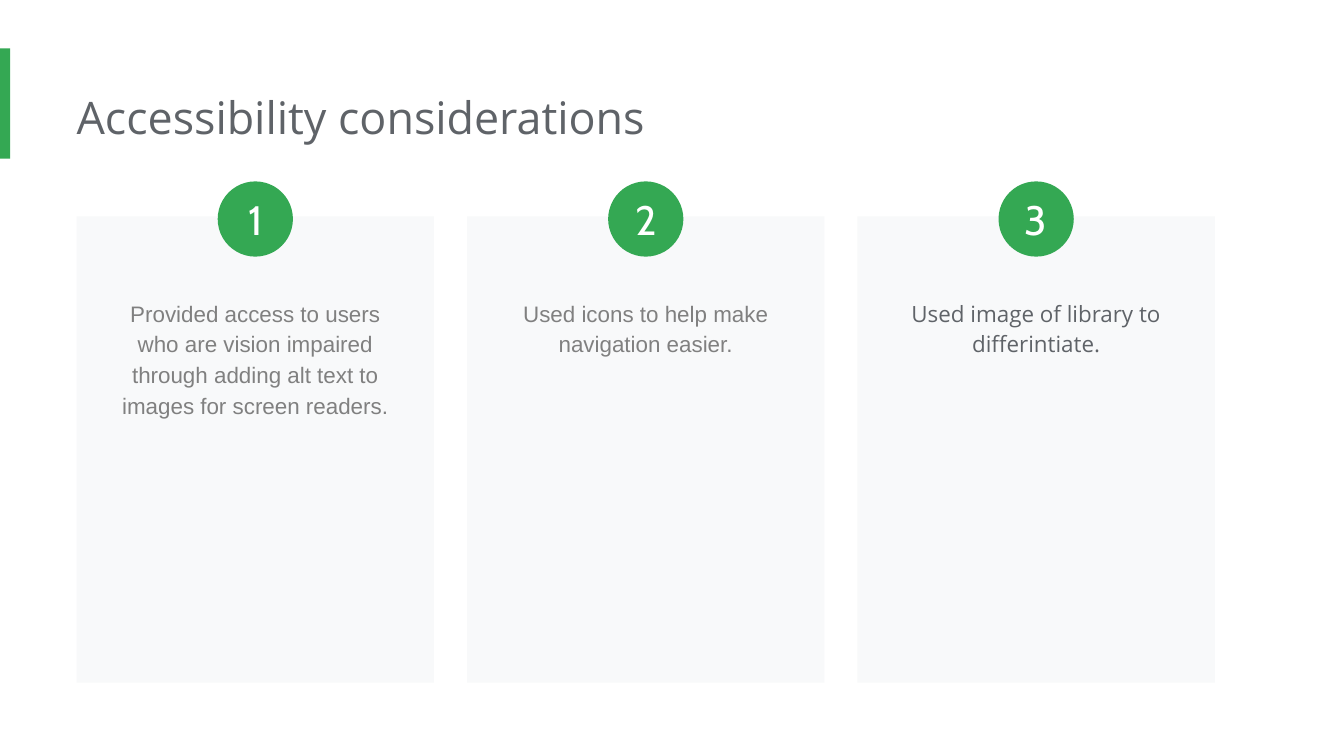
from dataclasses import dataclass

from pptx import Presentation
from pptx.dml.color import RGBColor
from pptx.enum.shapes import MSO_SHAPE
from pptx.enum.text import MSO_ANCHOR, MSO_AUTO_SIZE, PP_ALIGN
from pptx.util import Emu, Pt

RECTANGLE, OVAL = MSO_SHAPE.RECTANGLE, MSO_SHAPE.OVAL
TOP, MIDDLE = MSO_ANCHOR.TOP, MSO_ANCHOR.MIDDLE
LEFT, CENTER = PP_ALIGN.LEFT, PP_ALIGN.CENTER
FIXED, GROW = MSO_AUTO_SIZE.NONE, MSO_AUTO_SIZE.SHAPE_TO_FIT_TEXT

PX_PER_INCH = 200
EMU_PER_PX = 914400 // PX_PER_INCH
TITLE_ONLY_LAYOUT = 5
INSET = 20


@dataclass(frozen=True)
class Theme:
    accent: str = "34A853"
    card: str = "F8F9FA"
    white: str = "FFFFFF"
    dark_text: str = "5F6368"
    gray_text: str = "808080"
    heading_font: str = "Open Sans"
    body_font: str = "Arial"
    badge_font: str = "Cabin"
    title_size: int = 24
    body_size: int = 12
    badge_size: int = 22


THEME = Theme()

# Text, font, colour and text box height of each card
CARDS = [
    ("Provided access to users who are vision impaired through adding "
     "alt text to images for screen readers.",
     THEME.body_font, THEME.gray_text, 226),
    ("Used icons to help make navigation easier.",
     THEME.body_font, THEME.gray_text, 134),
    ("Used image of library to differintiate.",
     THEME.heading_font, THEME.dark_text, 134),
]


def px(length):
    return Emu(length * EMU_PER_PX)


def write_text(shape, text, *, font, size, color, align=LEFT, anchor=TOP,
               insets=(0, 0, 0, 0), line_spacing=None, auto_size=FIXED):
    """Fill a shape with one paragraph; insets are left, top, right, bottom."""
    frame = shape.text_frame
    frame.word_wrap = True
    frame.auto_size = auto_size
    frame.vertical_anchor = anchor
    (frame.margin_left, frame.margin_top,
     frame.margin_right, frame.margin_bottom) = map(px, insets)
    paragraph = frame.paragraphs[0]
    paragraph.alignment = align
    paragraph.line_spacing = line_spacing
    run = paragraph.add_run()
    run.text = text
    run.font.name = font
    run.font.size = Pt(size)
    run.font.color.rgb = RGBColor.from_string(color)


def add_filled_shape(slide, kind, left, top, width, height, color):
    shape = slide.shapes.add_shape(kind, px(left), px(top), px(width), px(height))
    shape.shadow.inherit = False
    shape.fill.solid()
    shape.fill.fore_color.rgb = RGBColor.from_string(color)
    shape.line.fill.background()
    return shape


def place_title(slide, text, left, top, width, height):
    title = slide.shapes.title
    title.left, title.top = px(left), px(top)
    title.width, title.height = px(width), px(height)
    write_text(title, text, font=THEME.heading_font, size=THEME.title_size,
               color=THEME.dark_text, insets=(0, INSET, INSET, INSET),
               auto_size=GROW)


def add_card(slide, number, text, font, color, text_height,
             left, top, width, height):
    """Add a panel with its text and a numbered badge over its top edge."""
    add_filled_shape(slide, RECTANGLE, left, top, width, height, THEME.card)

    side_margin = 42
    body = slide.shapes.add_textbox(
        px(left + side_margin), px(top + 98),
        px(width - 2 * side_margin), px(text_height))
    write_text(body, text, font=font, size=THEME.body_size, color=color,
               align=CENTER, insets=(INSET,) * 4, line_spacing=1.15,
               auto_size=GROW)

    diameter = 112
    badge = add_filled_shape(slide, OVAL, left + (width - diameter) // 2,
                             top - 52, diameter, diameter, THEME.accent)
    write_text(badge, str(number), font=THEME.badge_font, size=THEME.badge_size,
               color=THEME.white, align=CENTER, anchor=MIDDLE)


def add_card_row(slide, cards, left, top, width, height, gap):
    card_width = (width - gap * (len(cards) - 1)) // len(cards)
    for index, card in enumerate(cards):
        add_card(slide, index + 1, *card,
                 left=left + index * (card_width + gap), top=top,
                 width=card_width, height=height)


def main():
    presentation = Presentation()
    presentation.slide_width, presentation.slide_height = px(2000), px(1125)
    slide = presentation.slides.add_slide(
        presentation.slide_layouts[TITLE_ONLY_LAYOUT])

    add_filled_shape(slide, RECTANGLE, 0, 72, 15, 164, THEME.accent)
    place_title(slide, "Accessibility considerations", 114, 114, 1532, 122)
    add_card_row(slide, CARDS, left=114, top=322, width=1694, height=694, gap=49)

    presentation.save("out.pptx")


if __name__ == "__main__":
    main()
